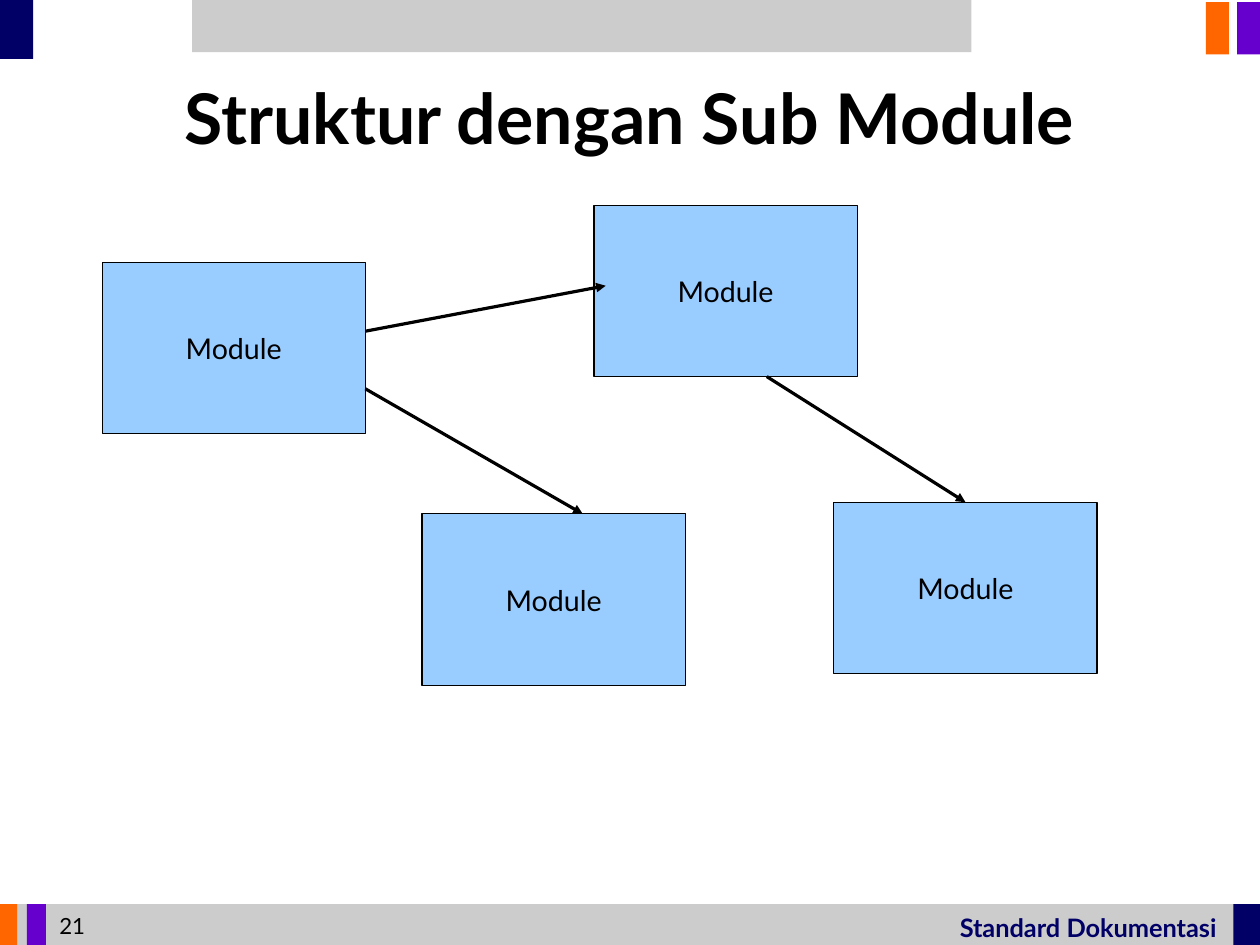
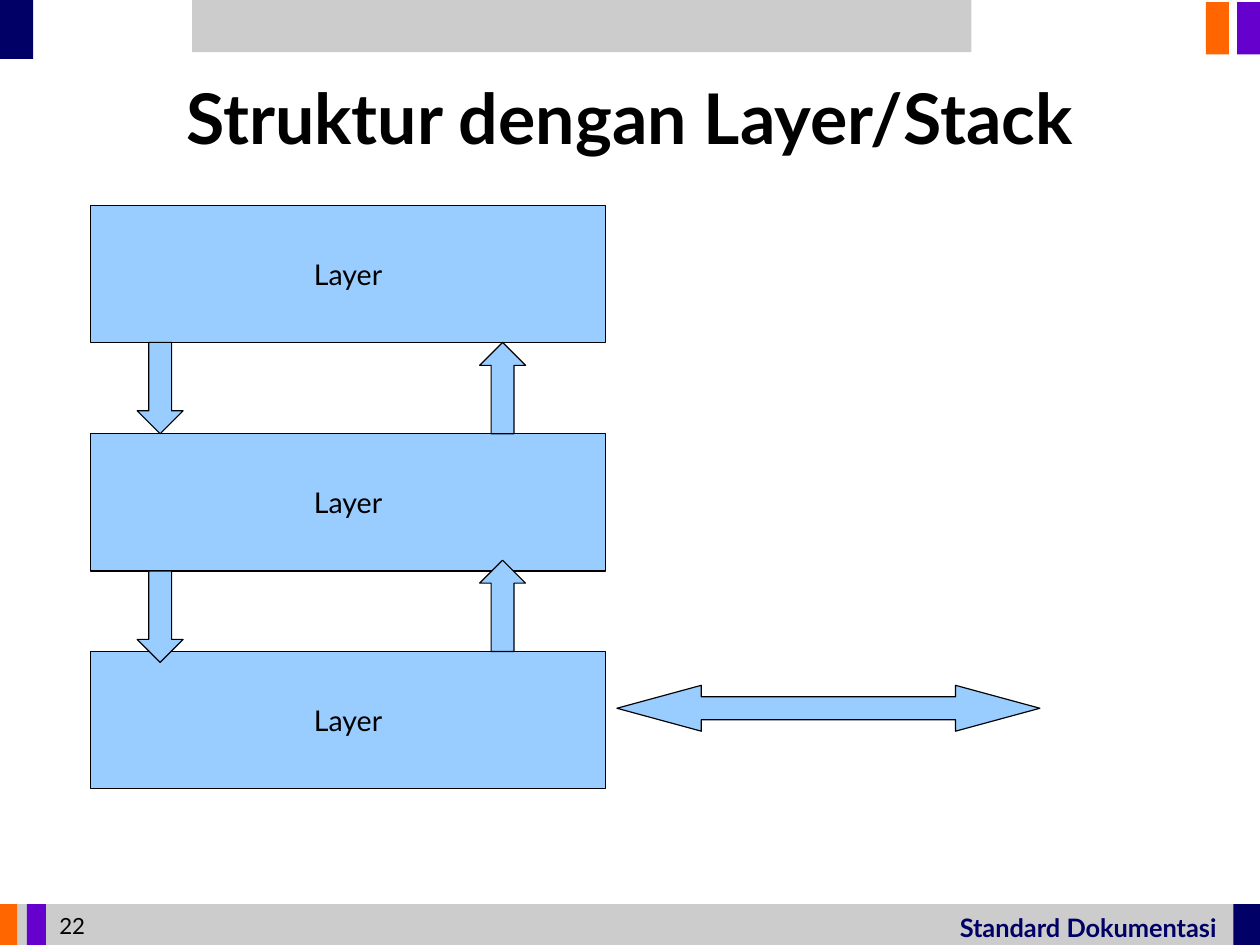
from lxml.etree import SubElement
from pptx import Presentation
from pptx.dml.color import RGBColor
from pptx.enum.shapes import MSO_CONNECTOR, MSO_SHAPE
from pptx.enum.text import MSO_ANCHOR, MSO_AUTO_SIZE, PP_ALIGN
from pptx.oxml.ns import qn
from pptx.util import Cm, Pt

COLORS = {
    "navy": "000066",
    "orange": "FF6600",
    "purple": "6600CC",
    "gray": "CCCCCC",
    "box": "99CCFF",
    "ink": "000000",
}
SLIDE_W, SLIDE_H = 28, 21
FOOTER_H = 0.91
FOOTER_TOP = SLIDE_H - FOOTER_H
BANDS = [
    ("gray", 4.27, 0, 17.32, 1.16),
    ("purple", 27.49, 0.05, 0.51, 1.16),
    ("orange", 26.8, 0.05, 0.51, 1.16),
    ("gray", 0, FOOTER_TOP, SLIDE_W, FOOTER_H),
    ("orange", 0, FOOTER_TOP, 0.38, FOOTER_H),
    ("purple", 0.6, FOOTER_TOP, 0.42, FOOTER_H),
    ("navy", 0, 0, 0.74, 1.31),
    ("navy", 27.41, FOOTER_TOP, 0.59, FOOTER_H),
]
TITLE_FONT = {"name": "Lato", "size": Pt(44), "bold": True}
LABEL_FONT = {"name": "Lato", "size": Pt(18), "bold": False}
FOOTER_FONT = {"name": "Lato", "size": Pt(16), "bold": True}
NUMBER_FONT = {"name": "Lato", "size": Pt(14), "bold": False}
NO_MARGINS = dict.fromkeys(
    ("margin_left", "margin_right", "margin_top", "margin_bottom"), 0)


def color(key):
    """Return the named palette colour."""
    return RGBColor.from_string(COLORS[key])


def apply(target, values):
    """Set each attribute of the target from the dict."""
    for key, value in values.items():
        setattr(target, key, value)


def write(frame, text, font, ink="ink", align=PP_ALIGN.LEFT, **layout):
    """Fill a text frame with one formatted paragraph."""
    apply(frame, {"text": text, "auto_size": MSO_AUTO_SIZE.NONE,
                  "word_wrap": True, **layout})
    paragraph = frame.paragraphs[0]
    paragraph.alignment = align
    apply(paragraph.font, font)
    paragraph.font.color.rgb = color(ink)


def add_panel(slide, kind, fill, left, top, width, height):
    """Add a flat preset shape without outline."""
    panel = slide.shapes.add_shape(
        kind, Cm(left), Cm(top), Cm(width), Cm(height))
    panel.shadow.inherit = False
    panel.fill.solid()
    panel.fill.fore_color.rgb = color(fill)
    panel.line.fill.background()
    return panel


def add_outlined(slide, kind, left, top, width, height):
    """Add a light blue shape with a hairline outline."""
    panel = add_panel(slide, kind, "box", left, top, width, height)
    panel.line.color.rgb = color("ink")
    panel.line.width = Pt(0)
    return panel


def add_box(slide, label, left, top, width, height):
    """Add a labelled diagram box."""
    box = add_outlined(slide, MSO_SHAPE.RECTANGLE, left, top, width, height)
    write(box.text_frame, label, LABEL_FONT, align=PP_ALIGN.CENTER,
          vertical_anchor=MSO_ANCHOR.MIDDLE)
    return box


def add_caption(slide, text, font, ink, left, top, width, height):
    """Add a text box for the footer and return it."""
    caption = slide.shapes.add_textbox(
        Cm(left), Cm(top), Cm(width), Cm(height))
    write(caption.text_frame, text, font, ink)
    return caption


def add_arrow(slide, start, end):
    """Add a hairline connector with a triangular head."""
    arrow = slide.shapes.add_connector(
        MSO_CONNECTOR.STRAIGHT, *map(Cm, start + end))
    arrow.line.color.rgb = color("ink")
    arrow.line.width = Pt(0)
    SubElement(arrow.line._get_or_add_ln(), qn("a:tailEnd"), type="triangle")
    SubElement(arrow.element.spPr, qn("a:effectLst"))
    return arrow


def share_decoration(prs, slide):
    """Draw the bands and the footer and move them to the master."""
    parts = [add_panel(slide, MSO_SHAPE.RECTANGLE, *band) for band in BANDS]
    parts.append(add_caption(slide, "Standard Dokumentasi", FOOTER_FONT,
                             "navy", 21.08, 20.14, 6.38, FOOTER_H))
    for number, part in enumerate(parts, start=100):
        part.element.nvSpPr.cNvPr.set("id", str(number))
        prs.slide_master.shapes.element.append(part.element)


def add_titled_slide(prs, title, number):
    """Add a slide with its title and page number."""
    slide = prs.slides.add_slide(prs.slide_layouts[5])
    heading = slide.shapes.title
    apply(heading, {"left": Cm(1.4), "top": Cm(0.84),
                    "width": Cm(25.2), "height": Cm(3.5)})
    write(heading.text_frame, title, TITLE_FONT, align=PP_ALIGN.CENTER,
          vertical_anchor=MSO_ANCHOR.MIDDLE, **NO_MARGINS)
    add_caption(slide, str(number), NUMBER_FONT, "ink", 1.07, 20.14, 2.77, 0.84)
    return slide


def draw_modules(slide):
    """Draw the modules and the arrows between them."""
    places = [(13.2, 4.56), (18.53, 11.16), (9.38, 11.42), (2.27, 5.83)]
    modules = [add_box(slide, "Module", left, top, 5.85, 3.81)
               for left, top in places]
    add_arrow(slide, (8.12, 7.36), (13.46, 6.35))
    add_arrow(slide, (8.12, 8.64), (12.95, 11.42))
    to_submodule = add_arrow(slide, (17.04, 8.37), (21.45, 11.16))
    to_submodule.end_connect(modules[1], 0)


def draw_layers(slide):
    """Draw the stacked layers and the block arrows around them."""
    tops, layer_h = [4.56, 9.64, 14.48], 3.05
    arrow_w, arrow_h = 1.02, 2.03
    for top in tops:
        add_box(slide, "Layer", 2.02, top, 11.43, layer_h)
    for upper, lower in zip(tops, tops[1:]):
        add_outlined(slide, MSO_SHAPE.DOWN_ARROW,
                     3.05, upper + layer_h, arrow_w, arrow_h)
        add_outlined(slide, MSO_SHAPE.UP_ARROW,
                     10.66, lower - arrow_h, arrow_w, arrow_h)
    exchange = add_outlined(slide, MSO_SHAPE.LEFT_RIGHT_ARROW,
                            13.71, 15.23, 9.4, arrow_w)
    exchange.adjustments[1] = 1.84


def main():
    """Build and save the presentation."""
    prs = Presentation()
    apply(prs, {"slide_width": Cm(SLIDE_W), "slide_height": Cm(SLIDE_H)})
    modules = add_titled_slide(prs, "Struktur dengan Sub Module", 21)
    share_decoration(prs, modules)
    draw_modules(modules)
    draw_layers(add_titled_slide(prs, "Struktur dengan Layer/Stack", 22))
    prs.save("out.pptx")


if __name__ == "__main__":
    main()
